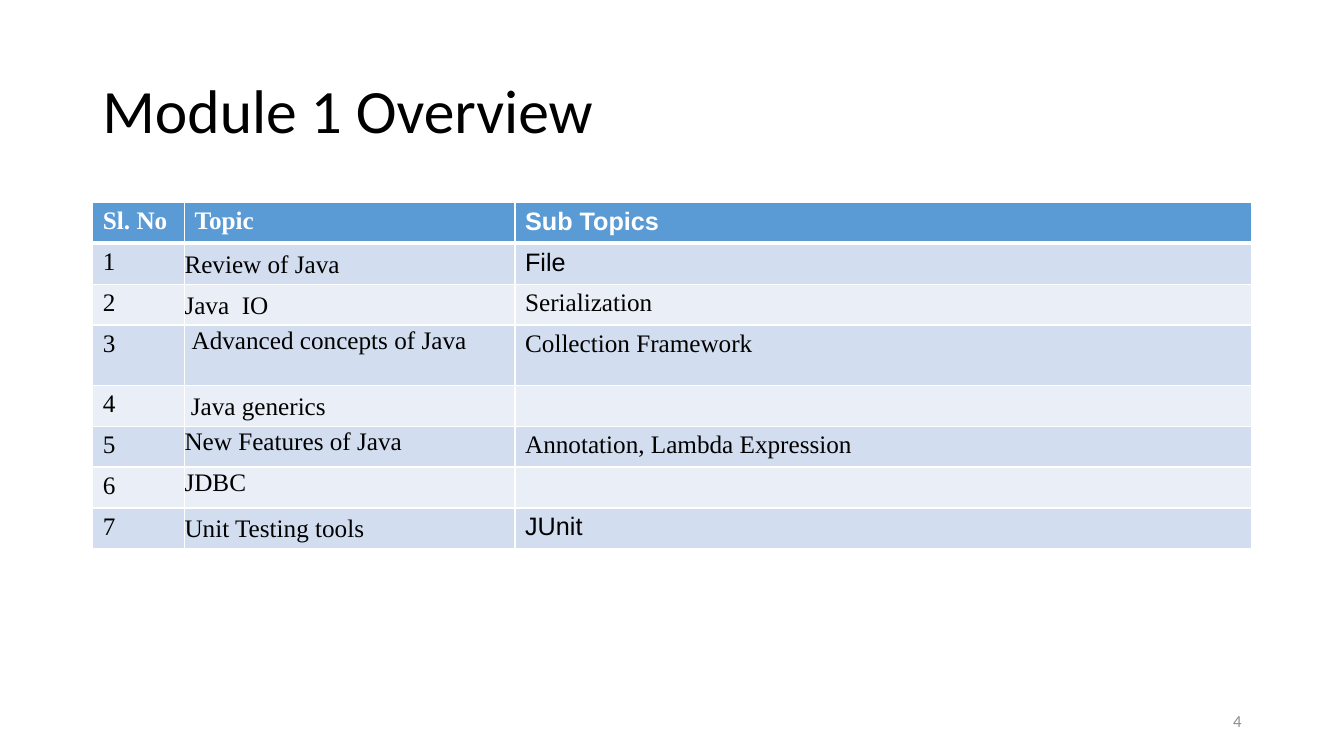
import pptx
import pptx.util
import pptx.dml.color
import pptx.enum.text
import pptx.oxml.ns
import lxml.etree

Cm = pptx.util.Cm
Pt = pptx.util.Pt
ALIGN = pptx.enum.text.PP_ALIGN
ANCHOR = pptx.enum.text.MSO_ANCHOR
SERIF, SANS = "Times New Roman", "Arial"

HEADINGS = [("Sl. No", SERIF), ("Topic", SERIF), ("Sub Topics", SANS)]
SPACED = dict(anchor=ANCHOR.MIDDLE, after=8)
TOP = dict(anchor=ANCHOR.TOP, align=ALIGN.JUSTIFY)
MODULES = [
    ("Review of Java", SPACED, 0, "File", SANS),
    ("Java  IO", SPACED, 0, "Serialization", SERIF),
    ("Advanced concepts of Java", dict(anchor=ANCHOR.TOP), 0.18, "Collection Framework", SERIF),
    ("Java generics", SPACED, 0.16, "", SERIF),
    ("New Features of Java", TOP, 0, "Annotation, Lambda Expression", SERIF),
    ("JDBC", TOP, 0, "", SERIF),
    ("Unit Testing tools", SPACED, 0, "JUnit", SANS),
]
COLUMN_WIDTHS = [2.31, 8.33, 18.57]
ROW_HEIGHT, TALL_ROW, TALL_HEIGHT = 1.03, 3, 1.52


def color(value):
    return pptx.dml.color.RGBColor.from_string(value)


def write(frame, text, font=SERIF, size=18, ink="000000", bold=False,
          align=ALIGN.LEFT, anchor=ANCHOR.TOP, spacing=1.0, after=0):
    frame.word_wrap = True
    frame.vertical_anchor = anchor
    para = frame.paragraphs[0]
    para.alignment = align
    para.line_spacing = spacing
    para.space_after = Pt(after)
    if text:
        span = para.add_run()
        span.text = text
        span.font.name = font
        span.font.size = Pt(size)
        span.font.bold = bold
        span.font.color.rgb = color(ink)
    else:
        para.font.size = Pt(size)


class OverviewSlide:
    header_fill = "5B9BD5"
    band_fills = ("EAEFF7", "D2DEEF")
    border = "FFFFFF"

    def __init__(self, deck):
        self.page = deck.slides.add_slide(deck.slide_layouts[6])

    def text(self, left, top, width, height, text, **style):
        box = self.page.shapes.add_textbox(Cm(left), Cm(top), Cm(width), Cm(height))
        write(box.text_frame, text, anchor=ANCHOR.MIDDLE, **style)

    def cell(self, cell, text, fill, bottom=1, inset=None, **style):
        if inset is not None:
            cell.margin_left = Cm(inset)
            cell.margin_right = cell.margin_top = cell.margin_bottom = 0
        write(cell.text_frame, text, **style)
        cell.vertical_anchor = style.get("anchor", ANCHOR.TOP)
        self.borders(cell, bottom)
        cell.fill.solid()
        cell.fill.fore_color.rgb = color(fill)

    def borders(self, cell, bottom):
        name = pptx.oxml.ns.qn
        properties = cell._tc.get_or_add_tcPr()
        for side, width in (("L", 1), ("R", 1), ("T", 1), ("B", bottom)):
            line = lxml.etree.SubElement(properties, name(f"a:ln{side}"), w=str(Pt(width)))
            paint = lxml.etree.SubElement(line, name("a:solidFill"))
            lxml.etree.SubElement(paint, name("a:srgbClr"), val=self.border)

    def table(self, left, top):
        count = len(MODULES) + 1
        frame = self.page.shapes.add_table(
            count, len(COLUMN_WIDTHS), Cm(left), Cm(top),
            Cm(sum(COLUMN_WIDTHS)), Cm(ROW_HEIGHT * (count - 1) + TALL_HEIGHT))
        table = frame.table
        for column, width in zip(table.columns, COLUMN_WIDTHS):
            column.width = Cm(width)
        for index, row in enumerate(table.rows):
            row.height = Cm(TALL_HEIGHT if index == TALL_ROW else ROW_HEIGHT)
        for index, (heading, font) in enumerate(HEADINGS):
            self.cell(table.cell(0, index), heading, self.header_fill, bottom=3,
                      font=font, ink="FFFFFF", bold=True)
        for number, (topic, style, inset, subtopic, font) in enumerate(MODULES, 1):
            fill = self.band_fills[number % 2]
            self.cell(table.cell(number, 0), str(number), fill)
            self.cell(table.cell(number, 1), topic, fill, inset=inset, spacing=1.07, **style)
            self.cell(table.cell(number, 2), subtopic, fill, font=font)


def main():
    deck = pptx.Presentation()
    deck.slide_width, deck.slide_height = Cm(33.87), Cm(19.05)
    slide = OverviewSlide(deck)
    slide.text(2.33, 1.01, 29.21, 3.68, "Module 1 Overview", font="Calibri", size=44, spacing=0.9)
    slide.table(2.34, 5.1)
    slide.text(23.92, 17.66, 7.62, 1.01, "4", font="Calibri", size=12, ink="8C8C8C",
               align=ALIGN.RIGHT)
    deck.save("out.pptx")


if __name__ == "__main__":
    main()
